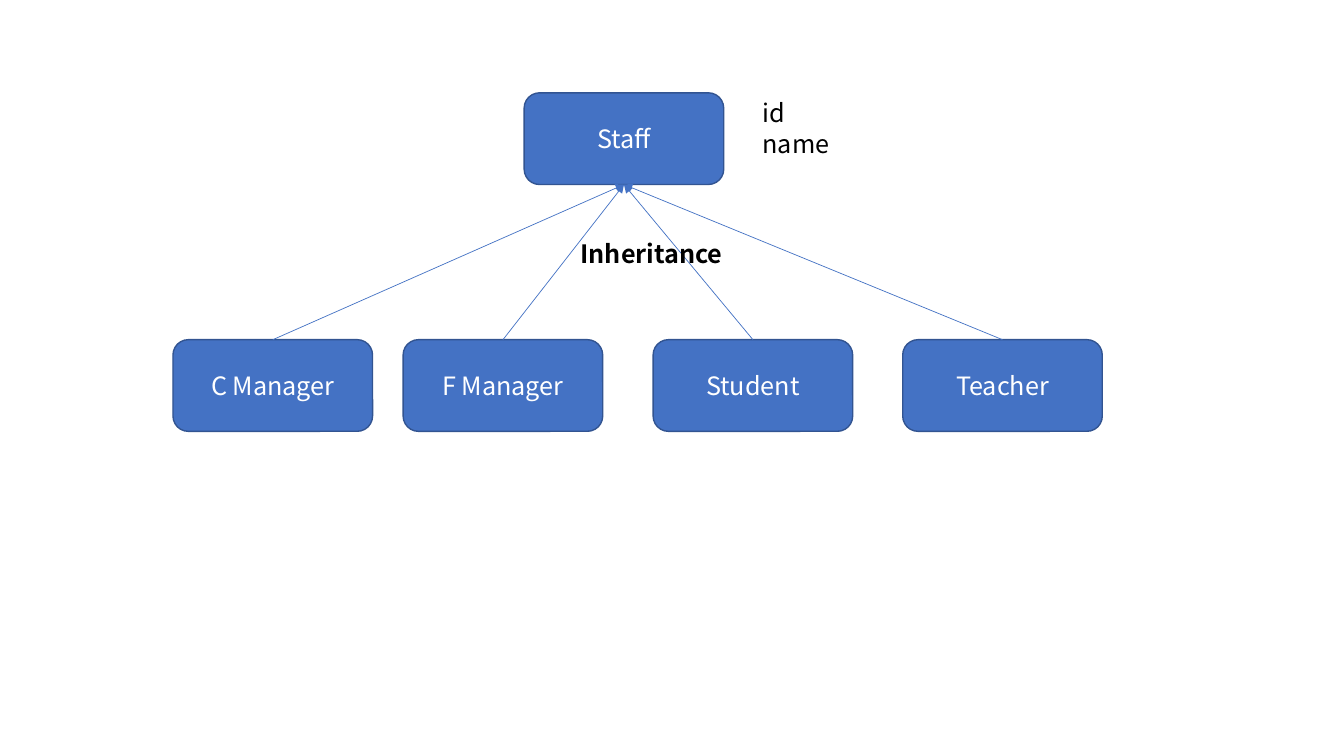
from lxml import etree
from pptx import Presentation
from pptx import util as u
from pptx.dml import color
from pptx.enum import shapes, text
from pptx.oxml import ns


def rgb(value):
    """Turn a hex string into a colour."""
    return color.RGBColor.from_string(value)


class Sketch:
    """Holds the style and the current slide."""

    font, size = "Noto Sans CJK SC", 18
    fill, edge, light, dark = "4472C4", "325491", "FFFFFF", "000000"
    box_width, box_height = 5.03, 2.31

    def __init__(self, page):
        self.page = page

    def add_lines(self, frame, lines, ink, align, bold=False):
        """Fill a text frame with one paragraph per line."""
        frame.word_wrap = True
        for index, line in enumerate(lines):
            para = frame.add_paragraph() if index else frame.paragraphs[0]
            para.alignment = align
            span = para.add_run()
            span.text = line
            span.font.name = self.font
            span.font.size = u.Pt(self.size)
            span.font.bold = bold
            span.font.color.rgb = rgb(ink)

    def class_box(self, name, left, top):
        """Add a rounded box that stands for a class."""
        box = self.page.shapes.add_shape(
            shapes.MSO_SHAPE.ROUNDED_RECTANGLE, u.Cm(left), u.Cm(top),
            u.Cm(self.box_width), u.Cm(self.box_height))
        box.shadow.inherit = False
        box.fill.solid()
        box.fill.fore_color.rgb = rgb(self.fill)
        box.line.color.rgb = rgb(self.edge)
        box.line.width = u.Pt(1)
        box.text_frame.vertical_anchor = text.MSO_ANCHOR.MIDDLE
        self.add_lines(box.text_frame, [name], self.light,
                       text.PP_ALIGN.CENTER)
        return box

    def arrow(self, child, parent):
        """Join the top of a child box to the bottom of its parent."""
        arrow = self.page.shapes.add_connector(
            shapes.MSO_CONNECTOR.STRAIGHT, 0, 0, 0, 0)
        arrow.begin_connect(child, 0)
        arrow.end_connect(parent, 2)
        arrow.line.color.rgb = rgb(self.fill)
        arrow.line.width = u.Pt(0.5)
        properties = arrow._element.spPr
        etree.SubElement(properties.find(ns.qn("a:ln")), ns.qn("a:tailEnd"),
                         type="triangle")
        etree.SubElement(properties, ns.qn("a:effectLst"))

    def label(self, lines, left, top, width, height, bold=False):
        """Add a plain text box."""
        box = self.page.shapes.add_textbox(
            u.Cm(left), u.Cm(top), u.Cm(width), u.Cm(height))
        self.add_lines(box.text_frame, lines, self.dark,
                       text.PP_ALIGN.LEFT, bold)
        box.text_frame.auto_size = text.MSO_AUTO_SIZE.SHAPE_TO_FIT_TEXT


deck = Presentation()
deck.slide_width, deck.slide_height = u.Cm(33.87), u.Cm(19.05)
sketch = Sketch(deck.slides.add_slide(deck.slide_layouts[6]))

staff = sketch.class_box("Staff", 13.21, 2.34)
subclasses = {"C Manager": 4.36, "F Manager": 10.16,
              "Student": 16.46, "Teacher": 22.75}
children = [sketch.class_box(name, left, 8.56)
            for name, left in subclasses.items()]
for child in children:
    sketch.arrow(child, staff)

sketch.label(["id", "name"], 18.97, 2.34, 3.76, 1.8)
sketch.label(["Inheritance"], 14.38, 5.89, 8.86, 1.04, bold=True)

deck.save("out.pptx")
